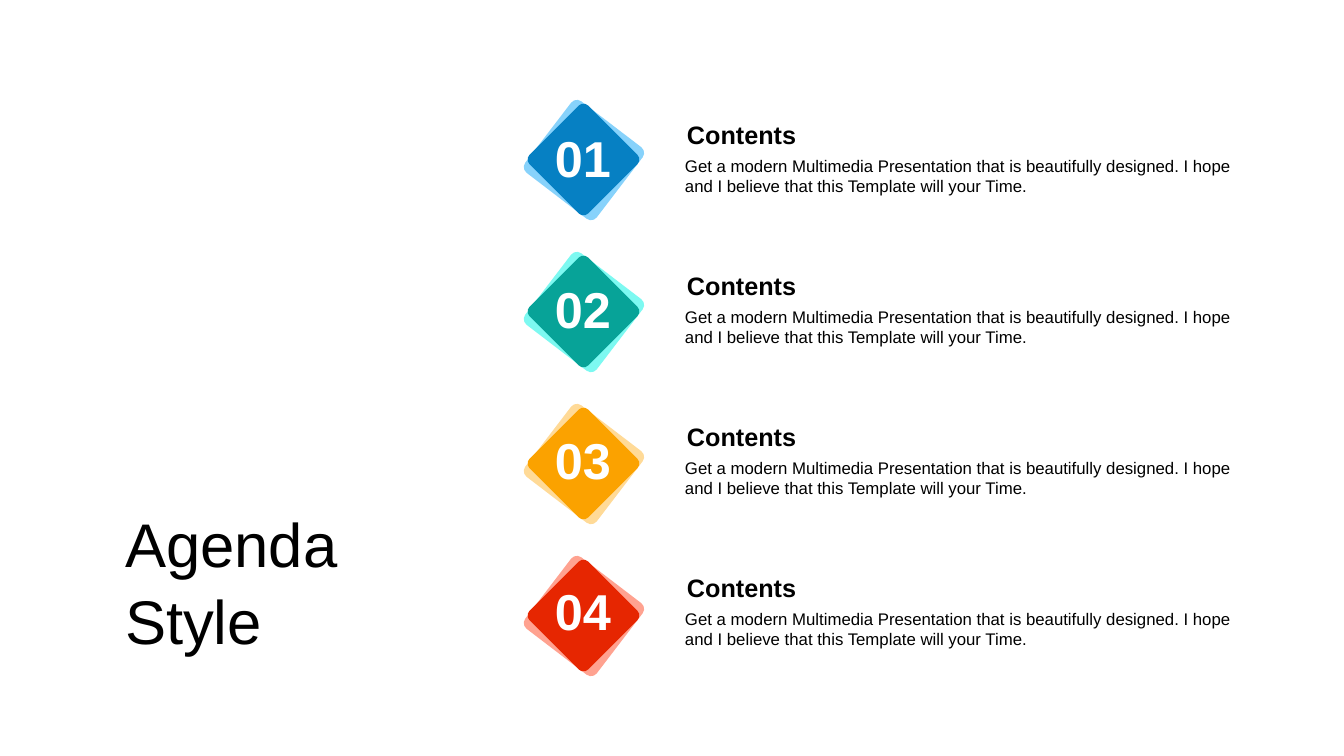
import pptx
import pptx.util
import pptx.dml.color
import pptx.enum.shapes
import pptx.enum.text

RGBColor = pptx.dml.color.RGBColor
ALIGN = pptx.enum.text.PP_ALIGN
ANCHOR = pptx.enum.text.MSO_ANCHOR

BLACK = RGBColor(0x00, 0x00, 0x00)
WHITE = RGBColor(0xFF, 0xFF, 0xFF)
BLUE = RGBColor(0x06, 0x80, 0xC3)
SKY = RGBColor(0x87, 0xD2, 0xFB)
TEAL = RGBColor(0x07, 0xA3, 0x98)
AQUA = RGBColor(0x7D, 0xF9, 0xF1)
AMBER = RGBColor(0xFB, 0xA2, 0x00)
SAND = RGBColor(0xFF, 0xDA, 0x97)
RED = RGBColor(0xE6, 0x26, 0x01)
PINK = RGBColor(0xFF, 0xA2, 0x90)

BODY = ("Get a modern Multimedia Presentation that is beautifully designed. "
        "I hope and I believe that this Template will your Time.")
TILE_STEP = 152
TEXT_STEP = 151


def px(count):
    return round(count * pptx.util.Inches(1) / 100.8)


class Deck:
    font = "Arial"

    def __init__(self, width, height):
        self.show = pptx.Presentation()
        self.show.slide_width = px(width)
        self.show.slide_height = px(height)
        self.slide = self.show.slides.add_slide(self.show.slide_layouts[5])

    def put(self, para, words, size, color, bold=False, align=ALIGN.LEFT):
        para.alignment = align
        run = para.add_run()
        run.text = words
        run.font.name = self.font
        run.font.size = pptx.util.Pt(size)
        run.font.bold = bold
        run.font.color.rgb = color

    def title(self, lines, left, top, width, height):
        shape = self.slide.shapes.title
        shape.left, shape.top = px(left), px(top)
        shape.width, shape.height = px(width), px(height)
        frame = shape.text_frame
        frame.word_wrap = True
        frame.vertical_anchor = ANCHOR.MIDDLE
        for index, line in enumerate(lines):
            para = frame.add_paragraph() if index else frame.paragraphs[0]
            para.line_spacing = 1.05
            self.put(para, line, 44, BLACK)

    def text(self, words, left, top, width, height, size, color,
             bold=False, align=ALIGN.LEFT, inset=10):
        box = self.slide.shapes.add_textbox(
            px(left), px(top), px(width), px(height))
        frame = box.text_frame
        frame.word_wrap = True
        frame.margin_left = frame.margin_right = px(inset)
        self.put(frame.paragraphs[0], words, size, color, bold, align)

    def tile(self, left, top, side, angle, color):
        shape = self.slide.shapes.add_shape(
            pptx.enum.shapes.MSO_SHAPE.ROUNDED_RECTANGLE,
            px(left), px(top), px(side), px(side))
        shape.adjustments[0] = 0.08
        shape.rotation = angle
        shape.shadow.inherit = False
        shape.fill.solid()
        shape.fill.fore_color.rgb = color
        shape.line.fill.background()

    def save(self):
        self.show.save("out.pptx")


def main():
    deck = Deck(1344, 756)
    deck.title(["Agenda", "Style"], 115, 500, 243, 159)
    pairs = [(BLUE, SKY), (TEAL, AQUA), (AMBER, SAND), (RED, PINK)]
    for index, (front, back) in enumerate(pairs):
        drop = index * TILE_STEP
        deck.tile(539, 115 + drop, 90, 307.4, back)
        deck.tile(542, 118 + drop, 83, 315, front)
        drop = index * TEXT_STEP
        deck.text(BODY, 675, 151 + drop, 590, 50, 12, BLACK)
        deck.text("Contents", 675, 114 + drop, 590, 40, 18, BLACK,
                  bold=True, inset=12)
        deck.text(f"{index + 1:02}", 530, 122 + drop, 106, 72, 36, WHITE,
                  bold=True, align=ALIGN.CENTER, inset=12)
    deck.save()


if __name__ == "__main__":
    main()
